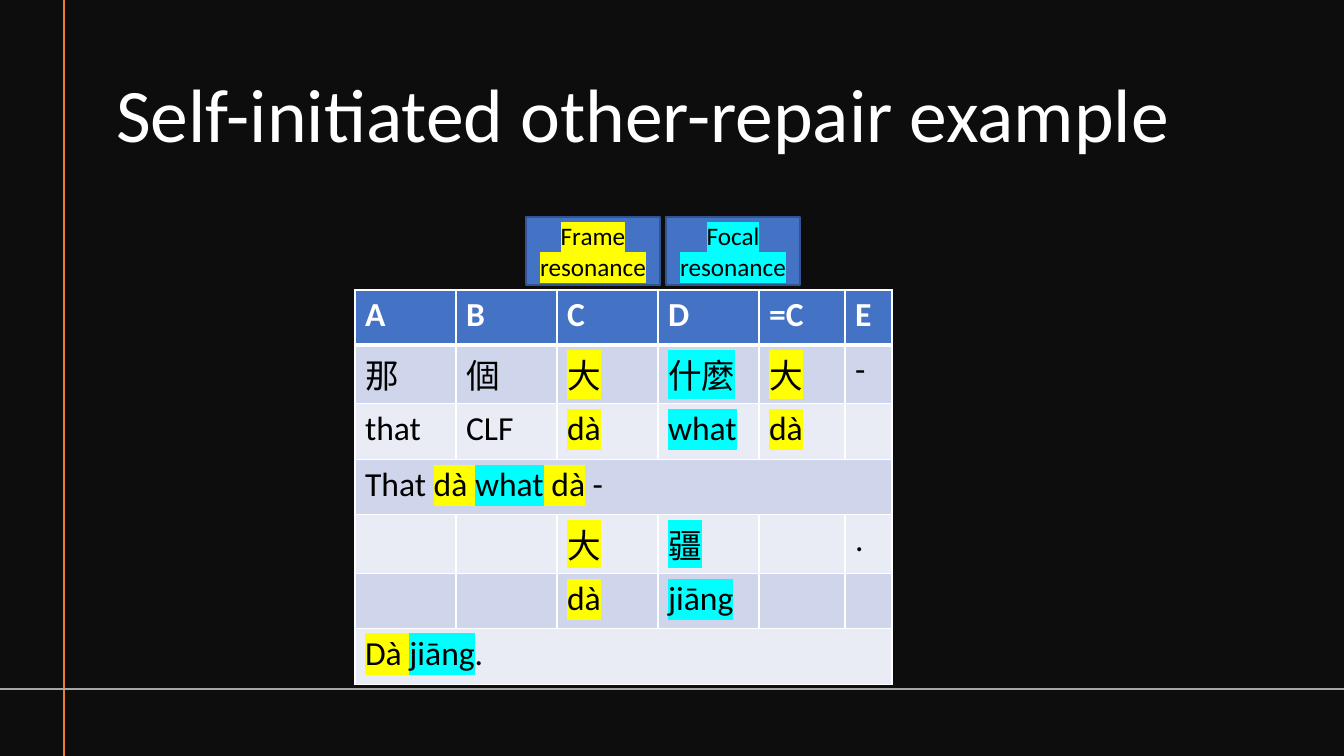
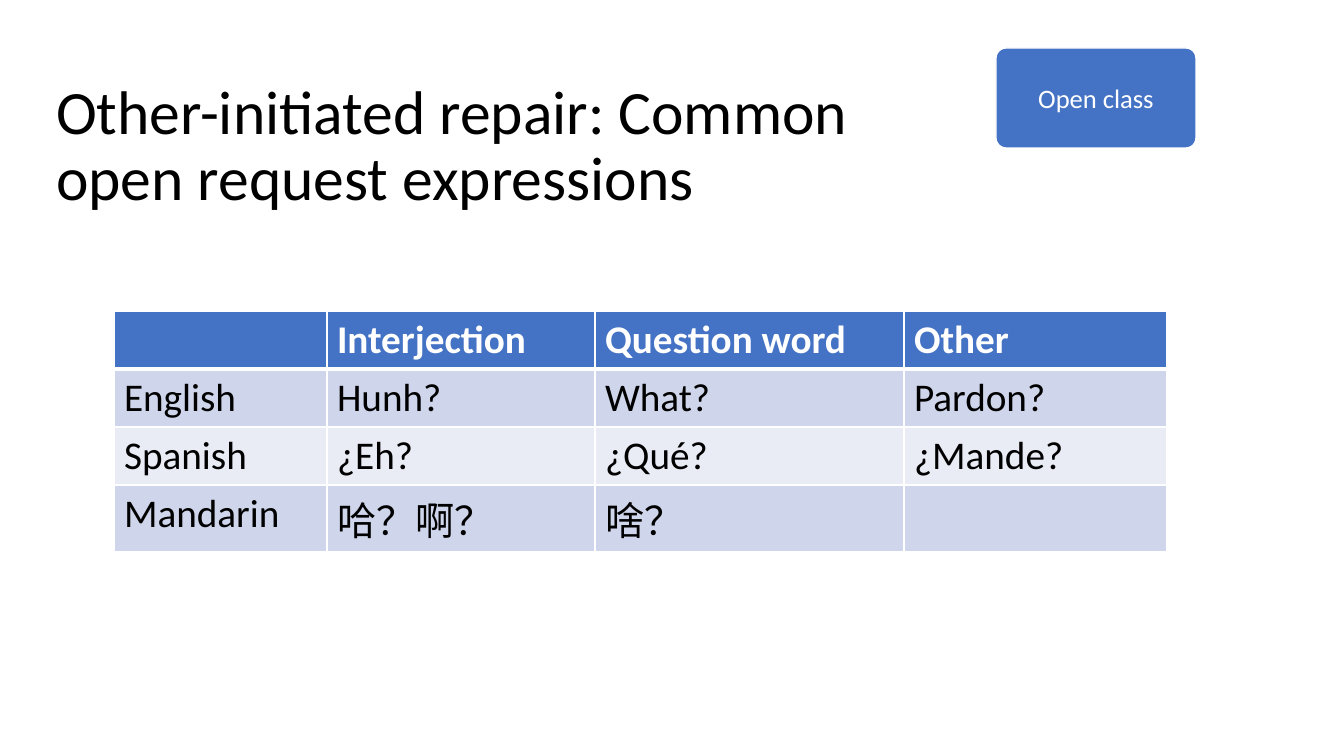
"""Build two slides on conversational repair, each with a table of examples."""
from lxml import etree
from pptx import Presentation
from pptx.dml.color import RGBColor
from pptx.enum.shapes import MSO_CONNECTOR, MSO_SHAPE
from pptx.enum.text import MSO_ANCHOR, MSO_AUTO_SIZE, PP_ALIGN
from pptx.oxml.ns import qn
from pptx.util import Inches, Pt

LINE = MSO_CONNECTOR.STRAIGHT
RECT, ROUNDED = MSO_SHAPE.RECTANGLE, MSO_SHAPE.ROUNDED_RECTANGLE
BOTTOM, MIDDLE = MSO_ANCHOR.BOTTOM, MSO_ANCHOR.MIDDLE
LEFT, CENTER = PP_ALIGN.LEFT, PP_ALIGN.CENTER
NO_FIT = MSO_AUTO_SIZE.NONE

FONT = "Calibri"
COLORS = {
    "night": "0D0D0D", "white": "FFFFFF", "black": "000000",
    "blue": "4472C4", "edge": "325491", "odd": "CFD5EA", "even": "E9EBF5",
    "orange": "ED7D31", "gray": "A5A5A5",
    "frame": "FFFF00", "focal": "00FFFF",
}
W, H = 1344, 756

DA_HAN = [("大", "frame")]
DA = [("dà", "frame")]
RESONANCE = {
    "title": "Self-initiated other-repair example",
    "at": (355, 290),
    "cols": [101, 101, 101, 101, 86, 47],
    "heights": [55, 55, 56, 55, 56, 55, 56],
    "size": 24,
    "rows": [
        ["A", "B", "C", "D", "=C", "E"],
        ["那", "個", DA_HAN, [("什麼", "focal")], DA_HAN, "-"],
        ["that", "CLF", DA, [("what", "focal")], DA, ""],
        [[("That ", None), ("dà ", "frame"), ("what", "focal"),
          (" dà", "frame"), (" -", None)]],
        ["", "", DA_HAN, [("疆", "focal")], "", "."],
        ["", "", DA, [("jiāng", "focal")], "", ""],
        [[("Dà ", "frame"), ("jiāng", "focal"), (".", None)]],
    ],
}
LEGEND = [("Frame resonance", "frame"), ("Focal resonance", "focal")]
REQUESTS = {
    "title": "Other-initiated repair: Common open request expressions",
    "at": (114, 311),
    "cols": [213, 268, 309, 263],
    "heights": [58, 58, 58, 66],
    "size": 28,
    "rows": [
        ["", "Interjection", "Question word", "Other"],
        ["English", "Hunh?", "What?", "Pardon?"],
        ["Spanish", "¿Eh?", "¿Qué?", "¿Mande?"],
        ["Mandarin", "哈？啊？", "啥？", ""],
    ],
}


def px(n):
    return round(n * Inches(1) / 100.8)


def rgb(name):
    return RGBColor.from_string(COLORS[name])


def write(tf, content, size, color, bold=False, align=LEFT):
    runs = [(content, None)] if isinstance(content, str) else content
    p = tf.paragraphs[0]
    p.alignment = align
    p.font.name, p.font.size, p.font.bold = FONT, Pt(size), bold
    p.font.color.rgb = rgb(color)
    for text, mark in runs:
        if not text:
            continue
        r = p.add_run()
        r.text = text
        if mark:
            hl = etree.SubElement(r.font._element, qn("a:highlight"))
            etree.SubElement(hl, qn("a:srgbClr"), val=COLORS[mark])
    return p


def add_title(s, text, box, size, color, anchor):
    sp = s.shapes.title
    sp.left, sp.top, sp.width, sp.height = map(px, box)
    tf = sp.text_frame
    tf.auto_size, tf.word_wrap, tf.vertical_anchor = NO_FIT, True, anchor
    write(tf, text, size, color).line_spacing = 0.9


def add_box(s, kind, box, line, content, size, color):
    sp = s.shapes.add_shape(kind, *map(px, box))
    sp.shadow.inherit = False
    sp.fill.solid()
    sp.fill.fore_color.rgb = rgb("blue")
    sp.line.color.rgb, sp.line.width = rgb(line), Pt(1)
    sp.text_frame.word_wrap = True
    sp.text_frame.vertical_anchor = MIDDLE
    write(sp.text_frame, content, size, color, align=CENTER)
    return sp


def add_rule(s, ends, color):
    line = s.shapes.add_connector(LINE, *map(px, ends))
    line.line.color.rgb, line.line.width = rgb(color), Pt(1)
    etree.SubElement(line._element.spPr, qn("a:effectLst"))


def style_cell(cell, row):
    tcPr = cell._tc.get_or_add_tcPr()
    for side in "LRTB":
        thick = (row, side) in [(0, "B"), (1, "T")]
        ln = etree.SubElement(tcPr, qn("a:ln" + side), w=str(Pt(3 if thick else 1)))
        fill = etree.SubElement(ln, qn("a:solidFill"))
        etree.SubElement(fill, qn("a:srgbClr"), val=COLORS["white"])
    cell.fill.solid()
    cell.fill.fore_color.rgb = rgb("blue" if row == 0 else "odd" if row % 2 else "even")


def add_table(s, data):
    rows, cols, heights = data["rows"], data["cols"], data["heights"]
    box = (*data["at"], sum(cols), sum(heights))
    table = s.shapes.add_table(len(rows), len(cols), *map(px, box)).table
    for col, width in zip(table.columns, cols):
        col.width = px(width)
    for i, row in enumerate(rows):
        table.rows[i].height = px(heights[i])
        for j in range(len(cols)):
            style_cell(table.cell(i, j), i)
        if len(row) == 1:
            table.cell(i, 0).merge(table.cell(i, len(cols) - 1))
        for j, content in enumerate(row):
            write(table.cell(i, j).text_frame, content, data["size"],
                  "black" if i else "white", bold=i == 0)


def resonance_slide(prs):
    s = prs.slides.add_slide(prs.slide_layouts[5])
    s.background.fill.solid()
    s.background.fill.fore_color.rgb = rgb("night")
    add_title(s, RESONANCE["title"], (106, 46, 1174, 118), 54, "white", BOTTOM)
    add_rule(s, (64, 0, 64, H), "orange")
    add_rule(s, (W, 689, 0, 689), "gray")
    add_table(s, RESONANCE)
    for i, label in enumerate(LEGEND):
        add_box(s, RECT, (526 + i * 140, 217, 134, 68), "edge", [label], 18, "black")


def requests_slide(prs):
    s = prs.slides.add_slide(prs.slide_layouts[5])
    add_table(s, REQUESTS)
    add_title(s, REQUESTS["title"], (46, 33, 840, 229), 44, "black", MIDDLE)
    sp = add_box(s, ROUNDED, (996, 48, 200, 100), "white", "Open class", 19, "white")
    sp.adjustments[0] = 0.1


def main():
    prs = Presentation()
    prs.slide_width, prs.slide_height = px(W), px(H)
    resonance_slide(prs)
    requests_slide(prs)
    prs.save("out.pptx")


if __name__ == "__main__":
    main()
